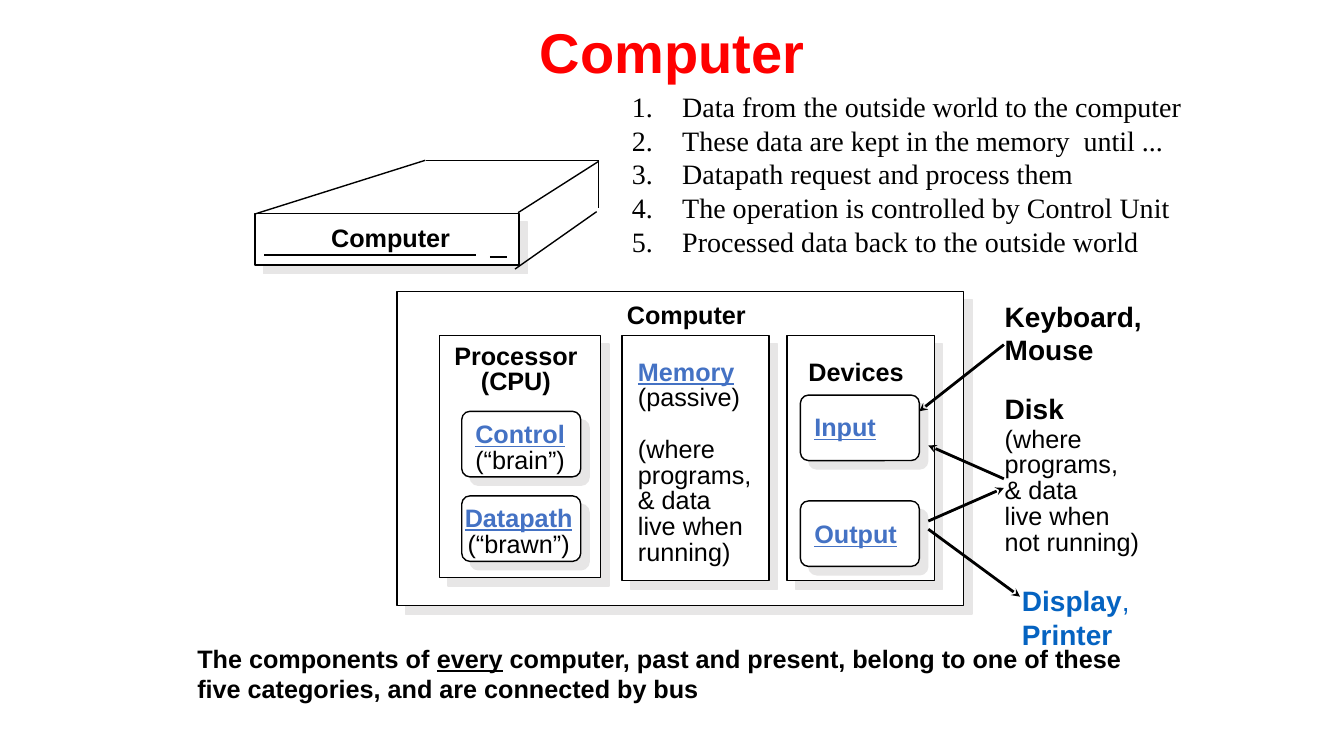
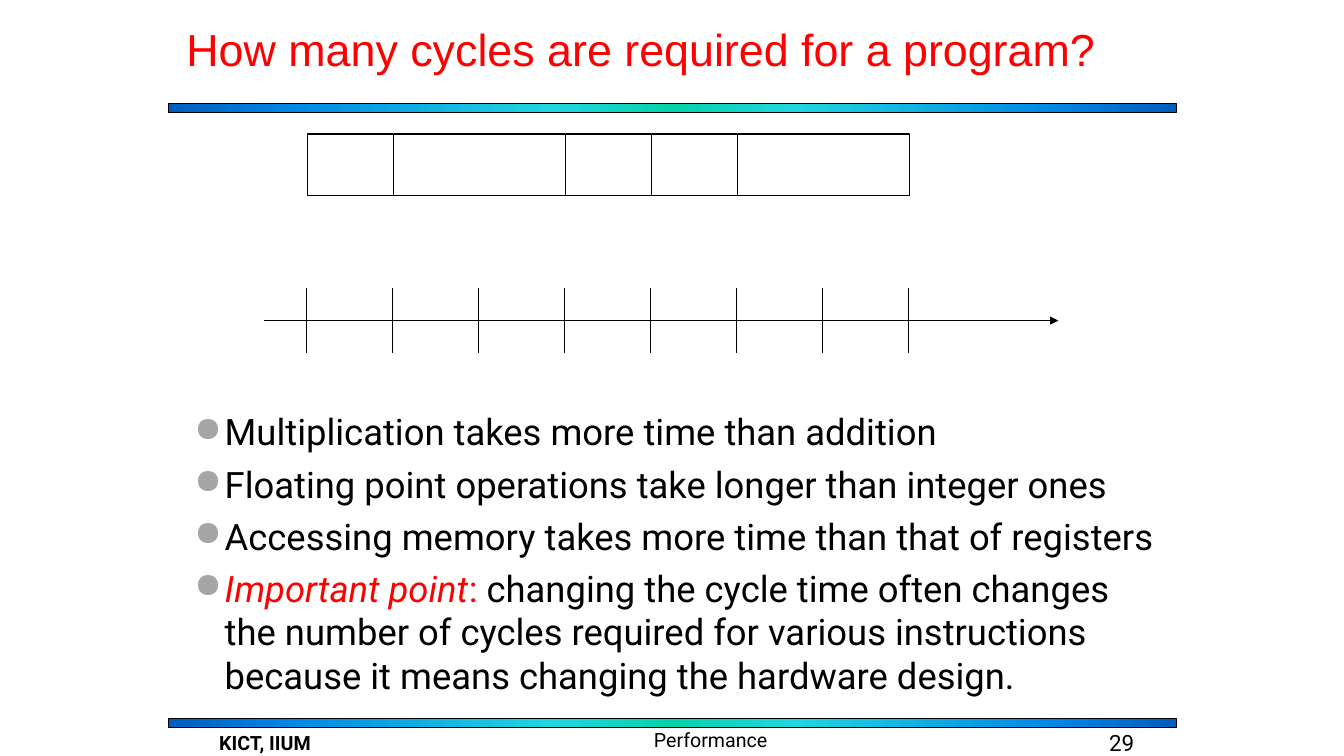
from lxml.etree import SubElement
from pptx import Presentation
from pptx.dml.color import RGBColor
from pptx.enum.shapes import MSO_CONNECTOR, MSO_SHAPE
from pptx.enum.text import MSO_ANCHOR, PP_ALIGN
from pptx.oxml.ns import qn
from pptx.util import Pt

COLORS = {
    "ink": "000000", "paper": "FFFFFF", "title": "FF0000", "shadow": "E7E6E6",
    "part": "4472C4", "link": "0563C1", "bullet": "A5A5A5",
}
BAND_STOPS = [(0, "005CBF"), (12, "0087E6"), (38, "21D6E0"), (50, "03D4A8"),
              (62, "21D6E0"), (88, "0087E6"), (100, "005CBF")]
SANS, BODY, SERIF = "Arial", "Roboto", "Times New Roman"
BOLD = {"bold": True}
PART = {"bold": True, "underline": True, "color": "part"}
DISPLAY = {"bold": True, "color": "link"}

STEPS = [
    "Data from the outside world to the computer",
    "These data are kept in the memory  until ...",
    "Datapath request and process them",
    "The operation is controlled by Control Unit",
    "Processed data back to the outside world",
]
CASE_FRONT = (182.2, 152.6, 188.6, 36.7)
CASE_EDGES = [
    (182.9, 152.6, 303.8, 114.5), (304.6, 114.5, 427.7, 114.5),
    (427.7, 115.2, 370.1, 151.9), (427.7, 115.2, 427.7, 148.3),
    (426.2, 151.2, 367.9, 192.2), (188.6, 182.2, 339.8, 182.2),
    (349.9, 183.6, 362.2, 183.6),
]
PANELS = [
    (283.7, 208.1, 404.6, 224.6), (313.9, 239.8, 115.2, 172.8),
    (444.2, 239.8, 105.1, 175), (562.3, 239.8, 105.1, 175),
]
UNIT_SIZE = (85, 46.8)
UNITS = [(329.8, 293.8), (329.8, 354.2), (571.7, 282.2), (571.7, 357.8)]
LABELS = [
    ((231.5, 160, 110, 22), "left", [[("Computer", BOLD)]]),
    ((442.8, 215.3, 110, 22), "left", [[("Computer", BOLD)]]),
    ((314, 244.1, 109, 42), "center", [[("Processor", BOLD)], [("(CPU)", BOLD)]]),
    ((314, 300.2, 115, 41), "center", [[("Control", PART)], [("(“brain”)", {})]]),
    ((313, 360, 115, 41), "center", [[("Datapath", PART)], [("(“brawn”)", {})]]),
    ((450.7, 255.6, 98, 40), "left", [[("Memory", PART)], [("(passive)", {})]]),
    ((450.7, 310.8, 98, 96), "left",
     [[(t, {})] for t in ("(where", "programs,", "& data", "live when", "running)")]),
    ((572.4, 255.6, 90, 22), "left", [[("Devices", BOLD)]]),
    ((576.7, 295.2, 80, 22), "left", [[("Input", PART)]]),
    ((576.7, 371.5, 80, 22), "left", [[("Output", PART)]]),
]
DEVICES = [
    ((722.9, 413.3, 120, 55), [[("Display", DISPLAY), (",", {"color": "link"})],
                               [("Printer", DISPLAY)]]),
    ((710.6, 210.2, 131.8, 55), [[("Keyboard,", BOLD)], [("Mouse", BOLD)]]),
    ((710.6, 275.8, 131.8, 30), [[("Disk", BOLD)]]),
]
DISK_NOTE = ["(where", "programs,", "& data", "live when", "not running)"]
DEVICE_ARROWS = [
    (663.1, 378, 728.6, 426.2), (717.1, 246.2, 656.6, 293.8),
    (717.1, 342, 663.1, 318.2), (663.1, 372.2, 717.1, 348.5),
]
SUMMARY = [
    ("The components of ", BOLD),
    ("every", {"bold": True, "underline": True}),
    (" computer, past and present, belong to one of these five categories,"
     " and are connected by bus", BOLD),
]

POINTS = [
    [("Multiplication takes more time than addition", {})],
    [("Floating point operations take longer than integer ones", {})],
    [("Accessing memory takes more time than that of registers", {})],
    [("Important point", {"italic": True, "color": "title"}),
     (":", {"color": "title"}),
     (" changing the cycle time often changes the number of cycles required for"
      " various instructions because it means changing the hardware design.", {})],
]
FOOTERS = [
    ("KICT, IIUM", 120.2, 138.2, 538.6, 14, "center", BOLD),
    ("Performance", 427, 161.3, 536.4, 14, "center", {}),
    ("29", 581, 236.2, 540, 16, "right", {}),
]
BAND_TOPS = [513.4, 74.2]
CYCLE, CYCLE_START, TICKS = 61.45, 219, 8
INSTRUCTION_CYCLES = [1, 2, 1, 1, 2]

ALIGN = {"left": PP_ALIGN.LEFT, "center": PP_ALIGN.CENTER,
         "right": PP_ALIGN.RIGHT, "justify": PP_ALIGN.JUSTIFY}


def rgb(name):
    return RGBColor.from_string(COLORS[name])


def add_text(s, box, paras, size, font=SANS, align="left", spacing=None,
             anchor=MSO_ANCHOR.TOP, inset=(7.2, 3.6), gap=0, bullet=None):
    tf = s.shapes.add_textbox(*map(Pt, box)).text_frame
    tf.word_wrap = True
    tf.vertical_anchor = anchor
    tf.margin_left = tf.margin_right = Pt(inset[0])
    tf.margin_top = tf.margin_bottom = Pt(inset[1])
    for i, runs in enumerate(paras):
        p = tf.paragraphs[0] if i == 0 else tf.add_paragraph()
        if bullet:
            bullet(p)
        p.alignment = ALIGN[align]
        if spacing:
            p.line_spacing = spacing
        if i and gap:
            p.space_before = Pt(gap)
        for text, style in runs:
            r = p.add_run()
            r.text = text
            r.font.name = font
            r.font.size = Pt(size)
            r.font.bold = style.get("bold", False)
            r.font.italic = style.get("italic", False)
            r.font.underline = style.get("underline", False)
            r.font.color.rgb = rgb(style.get("color", "ink"))


def set_indent(p, indent):
    pPr = p._p.get_or_add_pPr()
    pPr.set("marL", str(Pt(indent)))
    pPr.set("indent", str(-Pt(indent)))
    return pPr


def number(p):
    SubElement(set_indent(p, 36), qn("a:buAutoNum"), type="arabicPeriod")


def dot(p):
    pPr = set_indent(p, 21.6)
    SubElement(SubElement(pPr, qn("a:buClr")), qn("a:srgbClr"), val=COLORS["bullet"])
    SubElement(pPr, qn("a:buSzPct"), val="95000")
    SubElement(pPr, qn("a:buChar"), char="●")


def add_box(s, box, kind=MSO_SHAPE.RECTANGLE, line=1):
    sp = s.shapes.add_shape(kind, *map(Pt, box))
    sp.shadow.inherit = False
    sp.fill.solid()
    sp.fill.fore_color.rgb = rgb("paper")
    sp.line.color.rgb = rgb("ink")
    sp.line.width = Pt(line)
    return sp


def add_shadowed(s, box, kind=MSO_SHAPE.RECTANGLE):
    sp = add_box(s, box, kind)
    effects = sp._element.spPr.find(qn("a:effectLst"))
    shadow = SubElement(effects, qn("a:outerShdw"), dist=str(Pt(8.5)),
                        dir="2700000", algn="ctr", rotWithShape="0")
    SubElement(shadow, qn("a:srgbClr"), val=COLORS["shadow"])
    return sp


def add_line(s, ends, width=1, arrow=None):
    c = s.shapes.add_connector(MSO_CONNECTOR.STRAIGHT, *map(Pt, ends))
    c.line.color.rgb = rgb("ink")
    c.line.width = Pt(width)
    if arrow:
        SubElement(c.line._get_or_add_ln(), qn("a:tailEnd"), type=arrow)
    SubElement(c._element.spPr, qn("a:effectLst"))


def add_title(s, box, text, size, **layout):
    style = {"color": "title", "bold": layout.pop("bold", False)}
    add_text(s, box, [[(text, style)]], size, anchor=MSO_ANCHOR.MIDDLE, **layout)


def add_band(s, top):
    sp = add_box(s, (120.2, top, 720, 6.5), line=0.75)
    sp.fill.gradient()
    sp.fill.gradient_angle = 0
    stops = sp._element.spPr.find(".//" + qn("a:gsLst"))
    for stop in list(stops):
        stops.remove(stop)
    for pos, color in BAND_STOPS:
        stop = SubElement(stops, qn("a:gs"), pos=str(pos * 1000))
        SubElement(stop, qn("a:srgbClr"), val=color)


def add_frame(s):
    for top in BAND_TOPS:
        add_band(s, top)
    for text, left, width, bottom, size, align, style in FOOTERS:
        add_text(s, (left, bottom - 24, width, 24), [[(text, style)]], size, BODY,
                 align, anchor=MSO_ANCHOR.BOTTOM, inset=(7.2, 0))


def build_computer(s):
    add_shadowed(s, CASE_FRONT)
    for edge in CASE_EDGES:
        add_line(s, edge)
    for panel in PANELS:
        add_shadowed(s, panel)
    for corner in UNITS:
        sp = add_shadowed(s, corner + UNIT_SIZE, MSO_SHAPE.ROUNDED_RECTANGLE)
        sp.adjustments[0] = 0.125
    for box, align, paras in LABELS:
        add_text(s, box, paras, 18, align=align, spacing=0.85, inset=(5, 2))
    for box, paras in DEVICES:
        add_text(s, box, paras, 20)
    add_text(s, (710.6, 302, 131.8, 100), [[(t, {})] for t in DISK_NOTE], 18,
             spacing=0.85)
    for arrow in DEVICE_ARROWS:
        add_line(s, arrow, 2, "stealth")
    add_text(s, (133.9, 455.8, 686.2, 50.4), [SUMMARY], 18)
    add_text(s, (444.2, 60.5, 411.8, 133.2), [[(t, {})] for t in STEPS], 20, SERIF,
             "justify", bullet=number)
    add_title(s, (120, 12.2, 720, 48.2), "Computer", 40, bold=True, align="center",
              inset=(0, 0))


def build_cycles(s):
    add_title(s, (126, 7.2, 677.5, 59.8),
              "How many cycles are required for a program?", 32, spacing=0.9)
    add_frame(s)
    add_text(s, (131.8, 289, 702, 198), POINTS, 26, BODY, gap=6, bullet=dot)
    add_line(s, (188.6, 229, 756, 229), arrow="triangle")
    for i in range(TICKS):
        x = CYCLE_START + i * CYCLE
        add_line(s, (x, 252, x, 206))
    left = CYCLE_START + 0.5
    for cycles in INSTRUCTION_CYCLES:
        add_box(s, (left, 95.8, cycles * CYCLE, 43.9))
        left += cycles * CYCLE


def main():
    prs = Presentation()
    prs.slide_width, prs.slide_height = Pt(960), Pt(540)
    for build in (build_computer, build_cycles):
        build(prs.slides.add_slide(prs.slide_layouts[6]))
    prs.save("out.pptx")


if __name__ == "__main__":
    main()
